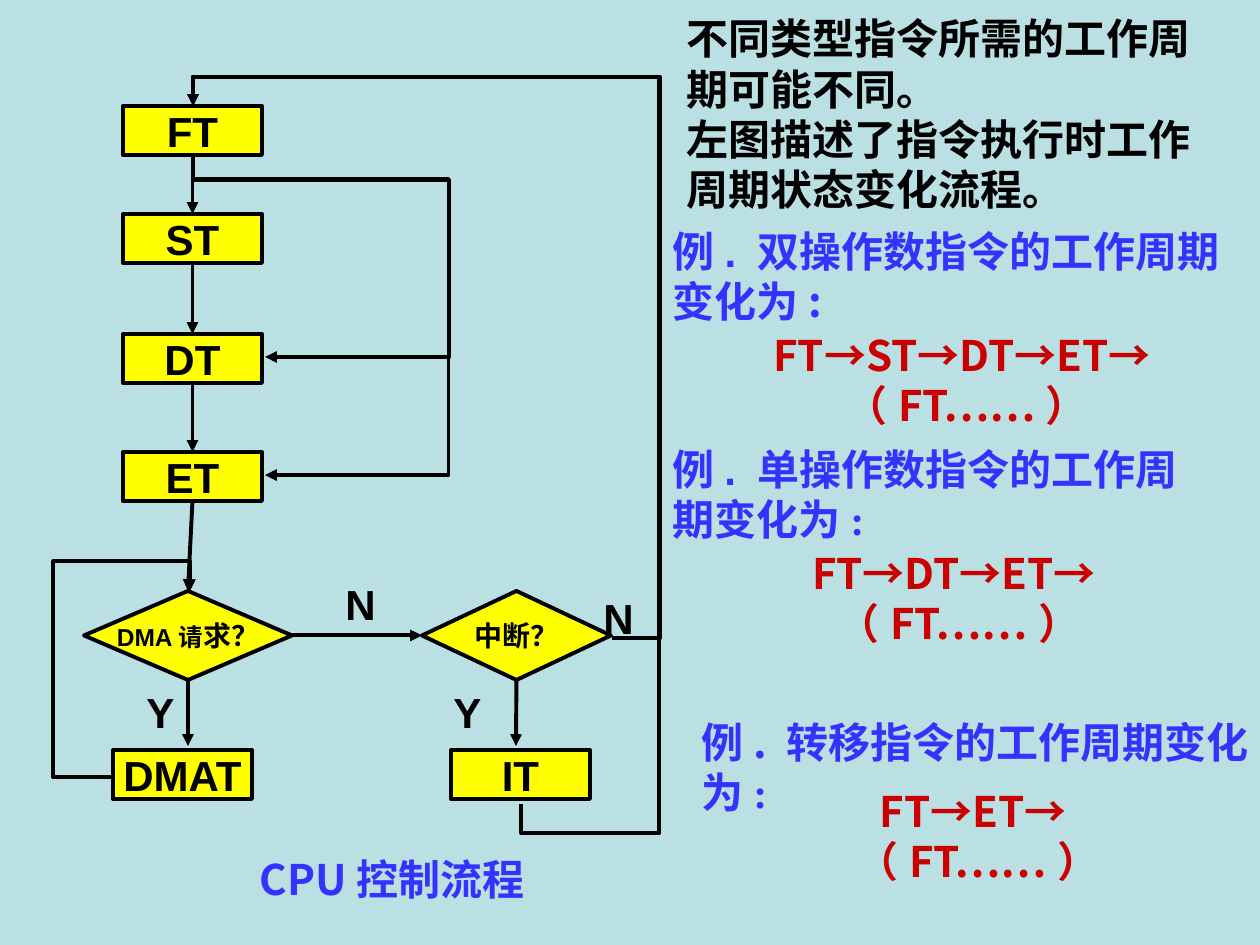
import pptx
import pptx.util
import pptx.dml.color
import pptx.enum.shapes
import pptx.enum.text
import pptx.oxml.ns
import lxml.etree

RGB = pptx.dml.color.RGBColor
BLACK = RGB(0x00, 0x00, 0x00)
YELLOW = RGB(0xFF, 0xFF, 0x00)
BLUE = RGB(0x33, 0x33, 0xFF)
RED = RGB(0xCB, 0x01, 0x01)
PALE = RGB(0xBB, 0xE0, 0xE3)
PX = 914400 / 126
HAN = "Noto Sans CJK SC"
KIND = pptx.enum.shapes.MSO_SHAPE
WIRE = pptx.enum.shapes.MSO_CONNECTOR
MID = pptx.enum.text.MSO_ANCHOR.MIDDLE
TOP = pptx.enum.text.MSO_ANCHOR.TOP
LEFT = pptx.enum.text.PP_ALIGN.LEFT
CENTER = pptx.enum.text.PP_ALIGN.CENTER
qn = pptx.oxml.ns.qn
sub = lxml.etree.SubElement

deck = pptx.Presentation()
deck.slide_width = round(1260 * PX)
deck.slide_height = round(945 * PX)
slide = deck.slides.add_slide(deck.slide_layouts[6])
slide.background.fill.solid()
slide.background.fill.fore_color.rgb = PALE
shapes = slide.shapes


def write(shape, paras, color, font="Arial", align=LEFT, anchor=MID, wrap=True):
    """Each paragraph is a list of (text, size, font); None keeps the default."""
    frame = shape.text_frame
    frame.word_wrap = wrap
    frame.vertical_anchor = anchor
    for i, runs in enumerate(paras):
        para = frame.add_paragraph() if i else frame.paragraphs[0]
        para.alignment = align
        para.font.size = pptx.util.Pt(24)
        para.font.bold = True
        para.font.color.rgb = color
        para.font.name = font
        sub(para.font._element, qn("a:ea"), typeface=HAN)
        for text, size, face in runs:
            run = para.add_run()
            run.text = text
            if size:
                run.font.size = pptx.util.Pt(size)
            if face:
                run.font.name = face


def style(line):
    line.line.color.rgb = BLACK
    line.line.width = pptx.util.Pt(2.25)
    sub(line.line._get_or_add_ln(), qn("a:tailEnd"), type="triangle")
    sub(line._element.spPr, qn("a:effectLst"))


# Process boxes and decisions
BOX, ASK = KIND.FLOWCHART_PROCESS, KIND.FLOWCHART_DECISION
nodes = {}
for name, kind, x, y, w, h, runs in [
    ("FT", BOX, 123, 106, 139, 49, [("FT", None, None)]),
    ("ST", BOX, 123, 214, 139, 49, [("ST", None, None)]),
    ("DT", BOX, 123, 334, 139, 49, [("DT", None, None)]),
    ("IT", BOX, 451, 750, 139, 49, [("IT", None, None)]),
    ("ET", BOX, 123, 452, 139, 49, [("ET", None, None)]),
    ("DMAT", BOX, 113, 750, 139, 49, [("DMAT", None, None)]),
    ("DMA", ASK, 84, 591, 208, 89, [("DMA请", 14, None), ("求？", 16, None)]),
    ("INT", ASK, 422, 591, 189, 89, [("中断？", 16, None)]),
]:
    node = shapes.add_shape(kind, *[round(v * PX) for v in (x, y, w, h)])
    node.shadow.inherit = False
    node.fill.solid()
    node.fill.fore_color.rgb = YELLOW
    node.line.color.rgb = BLACK
    node.line.width = pptx.util.Pt(2.25)
    write(node, [runs], BLACK, align=CENTER, wrap=False)
    nodes[name] = node

# Straight arrows between joined nodes
for start, a, end, b in [
    ("FT", 2, "ST", 0),
    ("ST", 2, "DT", 0),
    ("DT", 2, "ET", 0),
    ("ET", 2, "DMA", 0),
    ("DMA", 3, "INT", 1),
]:
    line = shapes.add_connector(WIRE.STRAIGHT, 0, 0, 0, 0)
    line.begin_connect(nodes[start], a)
    line.end_connect(nodes[end], b)
    style(line)

# Straight arrows that stop just above a box
for start, x in [("DMA", 188), ("INT", 516)]:
    line = shapes.add_connector(
        WIRE.STRAIGHT, 0, 0, round(x * PX), round(746 * PX))
    line.begin_connect(nodes[start], 2)
    style(line)

# Bent arrows: frame, turn, flips, bends
for x, y, w, h, turn, flips, bends in [
    (113, 591, 77, 186, 180, "H", [-0.776, 1.159]),
    (193, 106, 419, 532, 0, "HV", [-0.115, 1.055]),
    (8, 291, 698, 328, 270, "V", [-0.042, -0.422, 1.042]),
    (128, 220, 202, 72, 270, "H", [0.125, 3.561]),
    (69, 279, 320, 72, 270, "H", [0.076, 3.549]),
]:
    line = shapes.add_connector(
        WIRE.ELBOW, *[round(v * PX) for v in (x, y, x + w, y + h)])
    frame = line._element.spPr.find(qn("a:xfrm"))
    frame.set("rot", str(turn * 60000))
    for flip in flips:
        frame.set("flip" + flip, "1")
    geom = line._element.spPr.find(qn("a:prstGeom"))
    geom.set("prst", f"bentConnector{len(bends) + 2}")
    guides = geom.find(qn("a:avLst"))
    for i, bend in enumerate(bends, 1):
        sub(guides, qn("a:gd"), name=f"adj{i}", fmla=f"val {round(bend * 100000)}")
    style(line)

# Branch labels
for text, x, y, w in [
    ("Y", 134, 680, 40), ("Y", 441, 680, 40),
    ("N", 333, 572, 49), ("N", 591, 586, 49),
]:
    box = shapes.add_textbox(*[round(v * PX) for v in (x, y, w, 63)])
    write(box, [[(text, None, None)]], BLACK, anchor=TOP)

# Caption, examples, cycle sequences and introduction
for x, y, w, h, color, font, align, paras in [
    (213, 847, 358, 63, BLUE, HAN, CENTER, [[("CPU控制流程", None, None)]]),
    (660, 218, 600, 115, BLUE, "Arial", LEFT,
     [[("例. 双操作数指令", None, None), ("的工作周期变化为:", None, HAN)]]),
    (684, 348, 566, 63, RED, HAN, CENTER, [[("FT→ST→DT→ET→（FT……）", None, None)]]),
    (660, 436, 568, 115, BLUE, "Arial", LEFT,
     [[("例. 单操作数指令的", None, None),
       ("工作周期变化为:", None, "Times New Roman")]]),
    (724, 566, 470, 63, RED, HAN, CENTER, [[("FT→DT→ET→（FT……）", None, None)]]),
    (689, 709, 597, 115, BLUE, HAN, LEFT,
     [[("例. 转移指令的", None, None),
       ("工作周期变化为:", None, "Times New Roman")]]),
    (786, 804, 384, 63, RED, HAN, CENTER, [[("FT→ET→（FT……）", None, None)]]),
    (674, 5, 568, 217, BLACK, "Arial", LEFT,
     [[("不同类型指令所需的工作周期可能不同。", None, None)],
      [("左图描述了指令执行时工作周期状态变化流程。", None, None)]]),
]:
    box = shapes.add_textbox(*[round(v * PX) for v in (x, y, w, h)])
    write(box, paras, color, font, align)

deck.save("out.pptx")
